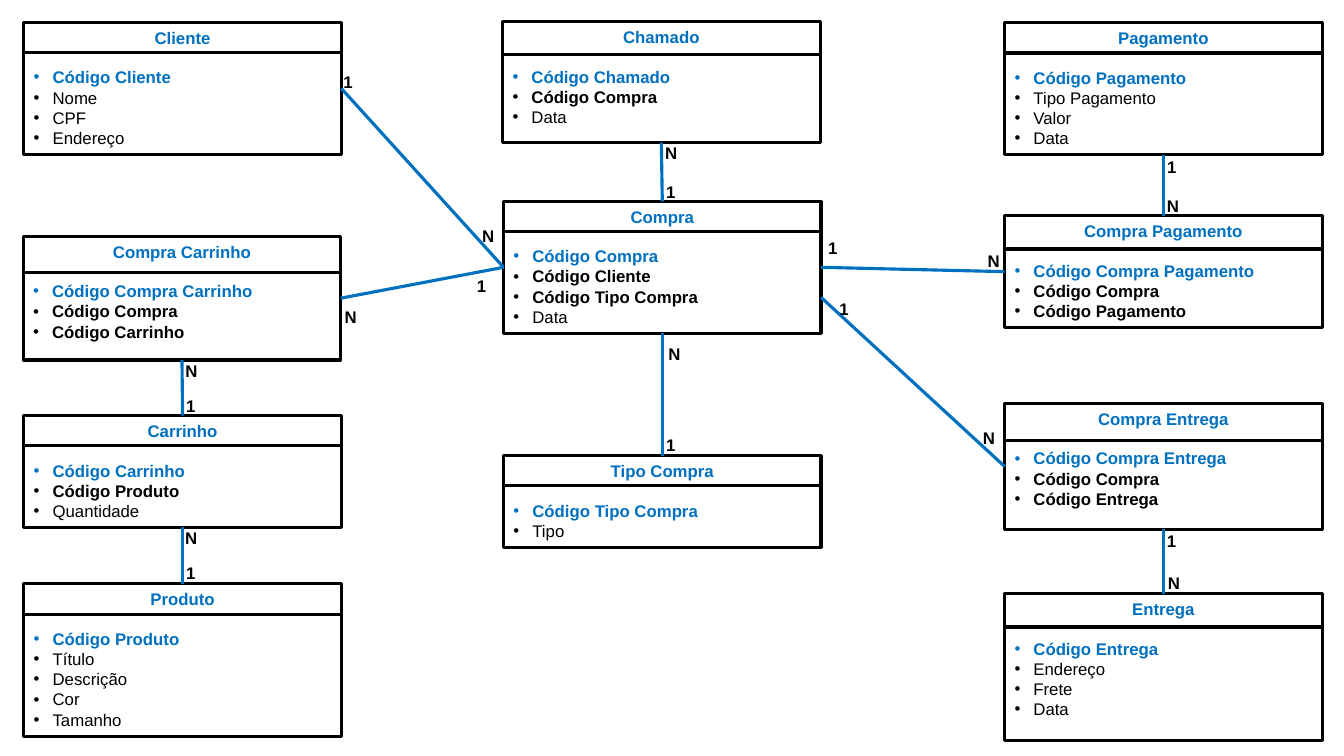
from lxml.etree import SubElement
from pptx import Presentation
from pptx.dml.color import RGBColor
from pptx.enum.shapes import MSO_CONNECTOR as CONNECTOR, MSO_SHAPE as SHAPE
from pptx.enum.text import MSO_ANCHOR as ANCHOR, PP_ALIGN as ALIGN
from pptx.oxml.ns import qn
from pptx.util import Pt

BLUE, BLACK = "0070C0", "000000"
LEFT, MIDDLE, RIGHT = 17, 359.7, 717.6
TOP_SITE, LEFT_SITE, BOTTOM_SITE, RIGHT_SITE = range(4)

# name: left, top, height, header height, primary key, foreign keys, attributes
ENTITIES = {
    "Chamado": (359, 15.4, 86.4, 23.6, "Código Chamado", ["Código Compra"], ["Data"]),
    "Compra": (MIDDLE, 143.8, 94.3, 21.6, "Código Compra",
               ["Código Cliente", "Código Tipo Compra"], ["Data"]),
    "Cliente": (LEFT, 16, 94.3, 21.6, "Código Cliente", [], ["Nome", "CPF", "Endereço"]),
    "Carrinho": (LEFT, 296.9, 79.9, 21.6, "Código Carrinho",
                 ["Código Produto"], ["Quantidade"]),
    "Produto": (LEFT, 417.1, 108.7, 21.6, "Código Produto", [],
                ["Título", "Descrição", "Cor", "Tamanho"]),
    "Tipo Compra": (MIDDLE, 325.4, 65.5, 21.6, "Código Tipo Compra", [], ["Tipo"]),
    "Pagamento": (RIGHT, 16.3, 94.3, 21.6, "Código Pagamento", [],
                  ["Tipo Pagamento", "Valor", "Data"]),
    "Entrega": (RIGHT, 424.1, 105.1, 23.8, "Código Entrega", [],
                ["Endereço", "Frete", "Data"]),
    "Compra Carrinho": (16.6, 168.8, 88.4, 26.1, "Código Compra Carrinho",
                        ["Código Compra", "Código Carrinho"], []),
    "Compra Pagamento": (RIGHT, 154.1, 79.9, 23.8, "Código Compra Pagamento",
                         ["Código Compra", "Código Pagamento"], []),
    "Compra Entrega": (RIGHT, 288.2, 90, 26.4, "Código Compra Entrega",
                       ["Código Compra", "Código Entrega"], []),
}

DOWN = (BOTTOM_SITE, TOP_SITE)
ACROSS = (RIGHT_SITE, LEFT_SITE)
RELATIONS = [
    ("Chamado", "Compra", DOWN, ("N", 468, 98.6), ("1", 468.7, 126)),
    ("Cliente", "Compra", ACROSS, ("1", 238.1, 47.9), ("N", 337.2, 157.7)),
    ("Compra", "Tipo Compra", DOWN, ("N", 470.4, 241.9), ("1", 468.7, 307.1)),
    ("Carrinho", "Produto", DOWN, ("N", 125.1, 373.2), ("1", 125.8, 398.2)),
    ("Compra Carrinho", "Carrinho", DOWN, ("N", 125.4, 254.2), ("1", 125.8, 279.4)),
    ("Compra Carrinho", "Compra", ACROSS, ("N", 239, 215.3), ("1", 333.6, 193.7)),
    ("Pagamento", "Compra Pagamento", DOWN, ("1", 826.6, 108.7), ("N", 826.4, 136.1)),
    ("Compra", "Compra Pagamento", ACROSS, ("1", 584.4, 166.3), ("N", 698.4, 175.7)),
    ("Compra Entrega", "Entrega", DOWN, ("1", 826.4, 375.8), ("N", 827.1, 405.4)),
    ("Compra", "Compra Entrega", ACROSS, ("1", 592.4, 209.5), ("N", 695, 302.1)),
]
LOWER_STARTS = {("Compra", "Compra Entrega"): 212.4}


def rgb(value):
    return RGBColor.from_string(value)


def write(paragraph, text, color=BLACK, bold=False, align=ALIGN.LEFT, after=0, bullet=False):
    run = paragraph.add_run()
    run.text = text
    run.font.name, run.font.size, run.font.bold = "Arial", Pt(12), bold
    run.font.color.rgb = rgb(color)
    paragraph.alignment = align
    paragraph.space_after = Pt(after)
    if bullet:
        properties = paragraph._p.get_or_add_pPr()
        properties.set("marL", str(Pt(13.5)))
        properties.set("indent", str(-Pt(13.5)))
        SubElement(properties, qn("a:buFont")).set("typeface", "Arial")
        SubElement(properties, qn("a:buChar")).set("char", "•")


class EntityDiagram:
    """Draws entities and their relations on one slide in a common style."""

    box_width = 226.8
    line_width = 2.25

    def __init__(self, slide):
        self.slide = slide
        self.boxes = {}

    def outline(self, shape, color):
        shape.line.color.rgb = rgb(color)
        shape.line.width = Pt(self.line_width)

    def line(self, color, left=0, top=0, right=0, bottom=0):
        connector = self.slide.shapes.add_connector(
            CONNECTOR.STRAIGHT, Pt(left), Pt(top), Pt(right), Pt(bottom))
        self.outline(connector, color)
        SubElement(connector._element.spPr, qn("a:effectLst"))
        return connector

    def entity(self, name, left, top, height, header, key, foreign_keys, attributes):
        box = self.slide.shapes.add_shape(
            SHAPE.RECTANGLE, Pt(left), Pt(top), Pt(self.box_width), Pt(height))
        box.shadow.inherit = False
        box.fill.background()
        self.outline(box, BLACK)
        frame = box.text_frame
        frame.word_wrap = True
        frame.vertical_anchor = ANCHOR.TOP
        write(frame.paragraphs[0], name, color=BLUE, bold=True, align=ALIGN.CENTER, after=14)
        write(frame.add_paragraph(), key, color=BLUE, bold=True, bullet=True)
        for field in foreign_keys + attributes:
            write(frame.add_paragraph(), field, bold=field in foreign_keys, bullet=True)
        self.line(BLACK, left, top + header, left + self.box_width, top + header)
        self.boxes[name] = box

    def relation(self, start, end, sites, *labels):
        connector = self.line(BLUE)
        start_box = self.boxes[start]
        if (start, end) in LOWER_STARTS:
            connector.begin_x = start_box.left + start_box.width
            connector.begin_y = Pt(LOWER_STARTS[start, end])
        else:
            connector.begin_connect(start_box, sites[0])
        connector.end_connect(self.boxes[end], sites[1])
        for label in labels:
            self.cardinality(*label)

    def cardinality(self, text, left, top):
        label = self.slide.shapes.add_textbox(Pt(left), Pt(top), Pt(40), Pt(21.6))
        label.text_frame.word_wrap = True
        write(label.text_frame.paragraphs[0], text, bold=True)


def main():
    presentation = Presentation()
    presentation.slide_width, presentation.slide_height = Pt(960), Pt(540)
    diagram = EntityDiagram(presentation.slides.add_slide(presentation.slide_layouts[6]))
    for name, details in ENTITIES.items():
        diagram.entity(name, *details)
    for relation in RELATIONS:
        diagram.relation(*relation)
    presentation.save("out.pptx")


if __name__ == "__main__":
    main()
